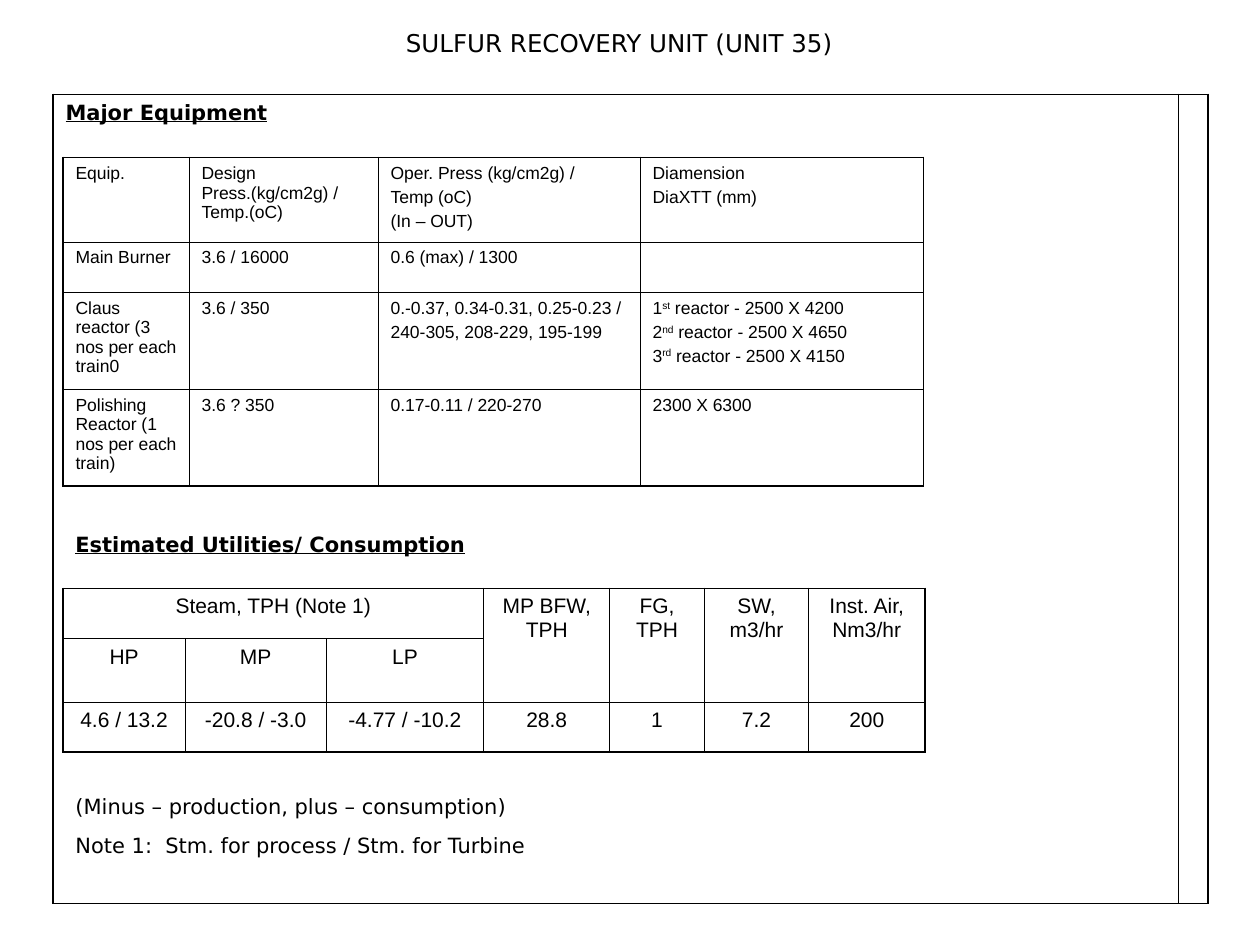
from dataclasses import dataclass

from lxml import etree
from pptx import Presentation
from pptx.dml.color import RGBColor
from pptx.enum import text
from pptx.oxml.ns import qn
from pptx.util import Inches, Pt

COLORS = {"ink": "000000"}
HEADING_FONT = "DejaVu Sans"
TABLE_FONT = "Arial"
OUTER_LINE, INNER_LINE = 1.08, 0.45
NO_STYLE = "{2D5ABB26-0587-4C30-8999-92F81FD0307C}"
LEFT, CENTER = text.PP_ALIGN.LEFT, text.PP_ALIGN.CENTER


@dataclass
class TextStyle:
    size: float
    font: str = HEADING_FONT
    align: text.PP_ALIGN = LEFT
    space_before: float = 0
    heading: bool = False


@dataclass
class TableSpec:
    left: float
    top: float
    columns: list[float]
    rows: list[float]
    cells: list[list[str]]
    style: TextStyle
    merges: tuple = ()


@dataclass
class TextSpec:
    left: float
    top: float
    width: float
    height: float
    content: str
    style: TextStyle


HEADING = TextStyle(12, heading=True)

FRAME = TableSpec(0.42, 0.75, [8.93, 0.24], [6.42], [["Major Equipment", ""]], HEADING)

EQUIPMENT = TableSpec(
    0.5, 1.25, [1, 1.5, 2.08, 2.25], [0.67, 0.4, 0.77, 0.77],
    [
        ["Equip.", "Design Press.(kg/cm2g) / Temp.(oC)",
         "Oper. Press (kg/cm2g) /\nTemp (oC)\n(In – OUT)", "Diamension\nDiaXTT (mm)"],
        ["Main Burner", "3.6 / 16000", "0.6 (max) / 1300", ""],
        ["Claus reactor (3 nos per each train0", "3.6 / 350",
         "0.-0.37, 0.34-0.31, 0.25-0.23 /\n240-305, 208-229, 195-199",
         "1^st^ reactor - 2500 X 4200\n2^nd^ reactor - 2500 X 4650\n"
         "3^rd^ reactor - 2500 X 4150"],
        ["Polishing Reactor (1 nos per each train)", "3.6 ? 350",
         "0.17-0.11 / 220-270", "2300 X 6300"],
    ],
    TextStyle(10, TABLE_FONT, space_before=2.5),
)

UTILITIES = TableSpec(
    0.5, 4.67, [0.97, 1.12, 1.25, 1, 0.75, 0.83, 0.92], [0.4, 0.5, 0.4],
    [
        ["Steam, TPH (Note 1)", "", "", "MP BFW, TPH", "FG, TPH", "SW, m3/hr",
         "Inst. Air, Nm3/hr"],
        ["HP", "MP", "LP", "", "", "", ""],
        ["4.6 / 13.2", "-20.8 / -3.0", "-4.77 / -10.2", "28.8", "1", "7.2", "200"],
    ],
    TextStyle(12, TABLE_FONT, CENTER),
    merges=((0, 0, 0, 2), *((0, column, 1, column) for column in range(3, 7))),
)

UTILITIES_HEADING = TextSpec(
    0.5, 4.17, 6.83, 0.4, "Estimated Utilities/ Consumption", HEADING)
NOTES = TextSpec(
    0.5, 6.25, 6.92, 0.61,
    "(Minus – production, plus – consumption)\n"
    "Note 1:  Stm. for process / Stm. for Turbine",
    TextStyle(12, space_before=7.5))


def write_text(frame, content: str, style: TextStyle) -> None:
    """Write one paragraph per line; parts between ^ marks are superscript."""
    for index, line in enumerate(content.split("\n")):
        paragraph = frame.add_paragraph() if index else frame.paragraphs[0]
        paragraph.alignment = style.align
        paragraph.space_before = Pt(style.space_before if index else 0)
        font = paragraph.font
        font.size, font.name = Pt(style.size), style.font
        font.bold = font.underline = style.heading
        font.color.rgb = RGBColor.from_string(COLORS["ink"])
        for part_index, part in enumerate(line.split("^")):
            if not part:
                continue
            run = paragraph.add_run()
            run.text = part
            if part_index % 2:
                run._r.get_or_add_rPr().set("baseline", "30000")


def set_borders(cell, widths: dict[str, float]) -> None:
    properties = cell._tc.get_or_add_tcPr()
    for position, (side, width) in enumerate(widths.items()):
        line = etree.Element(qn(f"a:ln{side}"), w=str(int(Pt(width))))
        fill = etree.SubElement(line, qn("a:solidFill"))
        etree.SubElement(fill, qn("a:srgbClr"), val=COLORS["ink"])
        properties.insert(position, line)


def add_table(slide, spec: TableSpec) -> None:
    row_count, column_count = len(spec.rows), len(spec.columns)
    shape = slide.shapes.add_table(
        row_count, column_count, Inches(spec.left), Inches(spec.top),
        Inches(sum(spec.columns)), Inches(sum(spec.rows)))
    table = shape.table
    table.first_row = table.horz_banding = False
    table._tbl.tblPr.find(qn("a:tableStyleId")).text = NO_STYLE
    for column, width in zip(table.columns, spec.columns):
        column.width = Inches(width)
    for row, height in zip(table.rows, spec.rows):
        row.height = Inches(height)
    for top, left, bottom, right in spec.merges:
        table.cell(top, left).merge(table.cell(bottom, right))

    def line_width(is_outer: bool) -> float:
        return OUTER_LINE if is_outer else INNER_LINE

    for row, contents in enumerate(spec.cells):
        for column, content in enumerate(contents):
            cell = table.cell(row, column)
            if cell.is_spanned:
                continue
            last_row, last_column = row, column
            if cell.is_merge_origin:
                last_row += cell.span_height - 1
                last_column += cell.span_width - 1
            write_text(cell.text_frame, content, spec.style)
            cell.fill.background()
            set_borders(cell, {
                "L": line_width(column == 0),
                "R": line_width(last_column == column_count - 1),
                "T": line_width(row == 0),
                "B": line_width(last_row == row_count - 1),
            })


def add_text(slide, spec: TextSpec) -> None:
    box = slide.shapes.add_textbox(
        Inches(spec.left), Inches(spec.top), Inches(spec.width), Inches(spec.height))
    box.text_frame.word_wrap = True
    write_text(box.text_frame, spec.content, spec.style)


def add_title(slide) -> None:
    title = slide.shapes.title
    title.left, title.top = Inches(0.33), Inches(0.17)
    title.width, title.height = Inches(9.17), Inches(1.4)
    frame = title.text_frame
    frame.vertical_anchor = text.MSO_ANCHOR.TOP
    frame.auto_size = text.MSO_AUTO_SIZE.NONE
    write_text(frame, "SULFUR RECOVERY UNIT (UNIT 35)", TextStyle(14, align=CENTER))


def main() -> None:
    presentation = Presentation()
    presentation.slide_width, presentation.slide_height = Inches(10), Inches(7.5)
    slide = presentation.slides.add_slide(
        presentation.slide_layouts.get_by_name("Title Only"))
    add_title(slide)
    add_table(slide, FRAME)
    add_table(slide, EQUIPMENT)
    add_text(slide, UTILITIES_HEADING)
    add_table(slide, UTILITIES)
    add_text(slide, NOTES)
    presentation.save("out.pptx")


if __name__ == "__main__":
    main()
